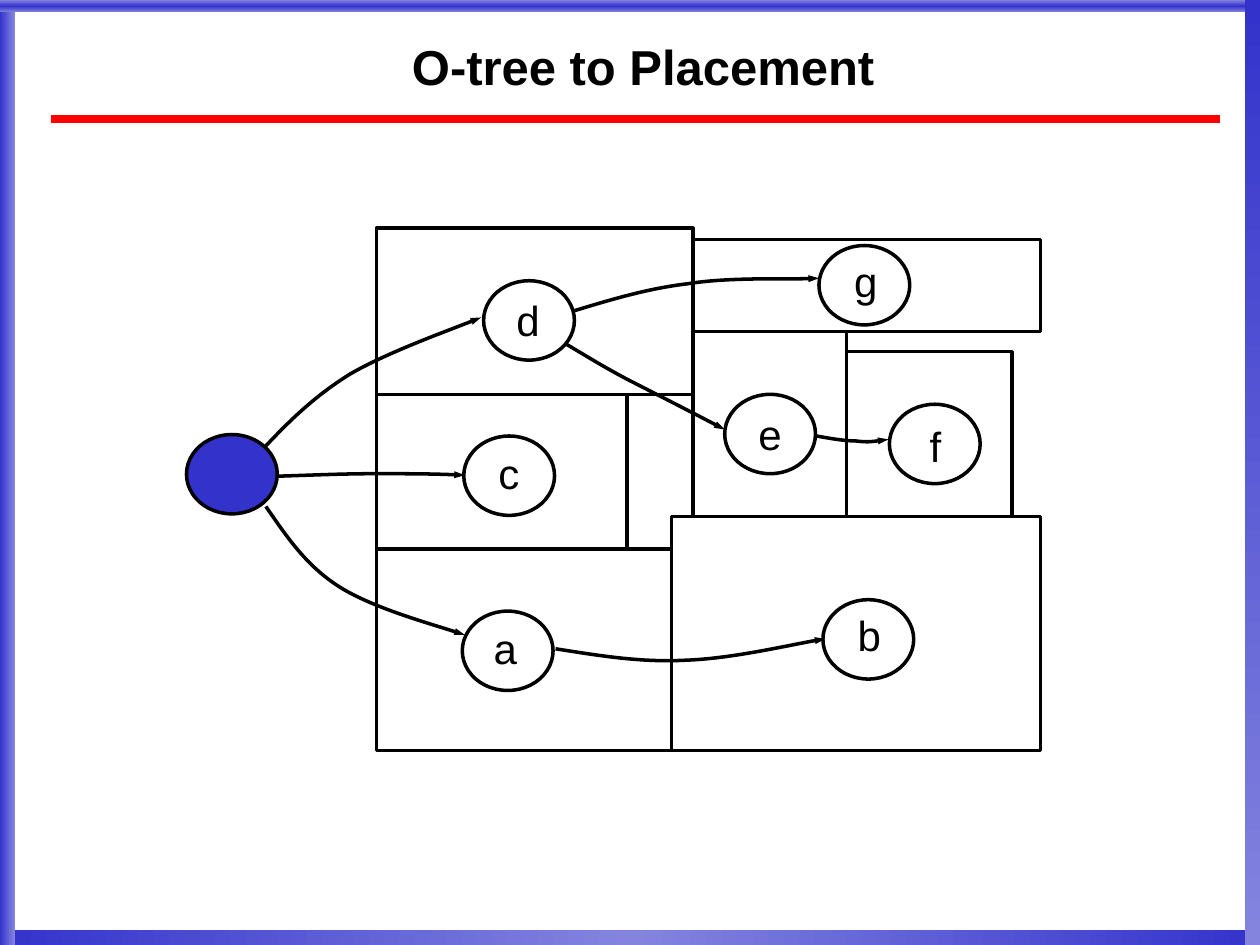
"""Draw the O-tree to placement slide."""
from typing import NamedTuple

from lxml import etree
from pptx import Presentation
from pptx.dml.color import RGBColor
from pptx.enum.shapes import MSO_CONNECTOR, MSO_SHAPE
from pptx.enum.text import MSO_ANCHOR, MSO_AUTO_SIZE, PP_ALIGN
from pptx.oxml.ns import qn
from pptx.util import Cm, Pt

RECT, OVAL = MSO_SHAPE.RECTANGLE, MSO_SHAPE.OVAL
STRAIGHT = MSO_CONNECTOR.STRAIGHT
MIDDLE, CENTER = MSO_ANCHOR.MIDDLE, PP_ALIGN.CENTER
GROW, FIXED = MSO_AUTO_SIZE.SHAPE_TO_FIT_TEXT, MSO_AUTO_SIZE.NONE

HUES = {"blue": "3333CC", "pale": "8484DF", "red": "FF0000",
        "black": "000000", "gray": "C0C0C0"}
WIDE, HIGH = 25.4, 19.05
SIDE, EDGE = 0.3, 0.25
NODE = (1.83, 1.6)
ROOT = (3.76, 8.76)


class Bar(NamedTuple):
    box: tuple
    stops: tuple
    angle: int


class Block(NamedTuple):
    name: str
    box: tuple
    node: tuple
    label: tuple


BARS = [
    Bar((0, HIGH - SIDE, WIDE, SIDE), ("blue", "pale", "blue"), 180),
    Bar((0, 0, SIDE, HIGH), ("pale", "blue"), 180),
    Bar((0, 0, WIDE, EDGE), ("pale", "blue", "pale"), 90),
    Bar((WIDE - SIDE, 0, SIDE, HIGH), ("blue", "pale"), 90),
]
BLOCKS = [
    Block("a", (7.59, 11.07, 5.95, 4.06), (9.32, 12.32), (9.7, 12.42, 0.97)),
    Block("b", (13.54, 10.41, 7.44, 4.72), (16.59, 12.09), (17.04, 12.17, 0.97)),
    Block("c", (7.59, 7.95, 5.05, 3.12), (9.35, 8.79), (9.8, 8.89, 0.91)),
    Block("e", (13.97, 6.68, 3.1, 3.73), (14.61, 7.95), (15.04, 8.1, 0.97)),
    Block("f", (17.07, 7.09, 3.33, 3.32), (17.93, 8.15), (18.49, 8.36, 0.74)),
    Block("d", (7.59, 4.6, 6.38, 3.35), (9.75, 5.66), (10.16, 5.82, 0.97)),
    Block("g", (13.97, 4.83, 7.01, 1.85), (16.51, 4.95), (16.97, 5.03, 0.97)),
]
CURVES = [
    [(5.36, 10.21), (5.77, 10.8), (6.15, 11.38), (6.81, 11.81),
     (7.47, 12.24), (8.94, 12.65), (9.37, 12.8)],
    [(11.2, 13.08), (12.04, 13.21), (12.9, 13.36), (13.82, 13.31),
     (14.73, 13.28), (16.15, 12.95), (16.64, 12.88)],
    [(5.36, 8.99), (5.84, 8.48), (6.35, 7.98), (7.06, 7.54),
     (7.8, 7.11), (9.27, 6.58), (9.7, 6.4)],
    [(11.56, 6.27), (12.29, 6.05), (13.03, 5.82), (13.87, 5.72),
     (14.68, 5.59), (16.05, 5.64), (16.51, 5.61)],
    [(11.4, 6.93), (11.76, 7.14), (12.12, 7.37), (12.65, 7.65),
     (13.18, 7.92), (14.27, 8.48), (14.61, 8.66)],
    [(16.46, 8.79), (16.74, 8.84), (17.02, 8.89), (17.25, 8.89),
     (17.5, 8.92), (17.7, 8.89), (17.91, 8.86)],
    [(5.61, 9.6), (6.27, 9.58), (6.91, 9.55), (7.54, 9.55),
     (8.18, 9.55), (8.76, 9.55), (9.37, 9.58)],
]


def tint(name: str) -> RGBColor:
    """Look up a colour by name."""
    return RGBColor.from_string(HUES[name])


def outline(shape) -> None:
    """Give a shape the common black line."""
    shape.shadow.inherit = False
    shape.line.color.rgb = tint("black")
    shape.line.width = Pt(2)


def add_bar(shapes, bar: Bar) -> None:
    """Draw a frame bar with evenly spaced gradient stops."""
    shape = shapes.add_shape(RECT, *map(Cm, bar.box))
    shape.shadow.inherit = False
    shape.line.fill.background()
    shape.fill.gradient()
    shape.fill.gradient_angle = 360 - bar.angle
    stops = next(shape._element.iter(qn("a:gsLst")))
    for stop in list(stops):
        stops.remove(stop)
    for i, name in enumerate(bar.stops):
        spot = str(100000 * i // (len(bar.stops) - 1))
        stop = etree.SubElement(stops, qn("a:gs"), pos=spot)
        etree.SubElement(stop, qn("a:srgbClr"), val=HUES[name])


def add_form(shapes, kind, box: tuple, fill: str = "") -> None:
    """Draw an outlined box or node."""
    shape = shapes.add_shape(kind, *map(Cm, box))
    outline(shape)
    if fill:
        shape.fill.solid()
        shape.fill.fore_color.rgb = tint(fill)
    else:
        shape.fill.background()


def add_curve(shapes, points: list) -> None:
    """Draw a curved arrow from a start point and Bezier triples."""
    dots = [(Cm(x), Cm(y)) for x, y in points]
    pen = shapes.build_freeform(*dots[0])
    pen.add_line_segments(dots[1:], close=False)
    shape = pen.convert_to_shape()
    outline(shape)
    shape.fill.background()
    trace = next(shape._element.iter(qn("a:path")))
    legs = trace.findall(qn("a:lnTo"))
    for i in range(0, len(legs), 3):
        bend = etree.SubElement(trace, qn("a:cubicBezTo"))
        for leg in legs[i:i + 3]:
            bend.append(leg[0])
            trace.remove(leg)
    etree.SubElement(shape.line._get_or_add_ln(), qn("a:tailEnd"),
                     type="triangle", w="sm", len="med")


def add_text(shapes, text: str, box: tuple, *, size: int, bold: bool = False,
             pad: tuple = (0, 0), wrap: bool = True, fit=FIXED,
             before: int = 0, lead: float = 1.0, shade: bool = False) -> None:
    """Write centred text in a box."""
    frame = shapes.add_textbox(*map(Cm, box)).text_frame
    frame.word_wrap, frame.auto_size = wrap, fit
    frame.vertical_anchor = MIDDLE
    frame.margin_left = frame.margin_right = Cm(pad[0])
    frame.margin_top = frame.margin_bottom = Cm(pad[1])
    para = frame.paragraphs[0]
    para.alignment, para.line_spacing = CENTER, lead
    para.space_before = Pt(before)
    run = para.add_run()
    run.text = text
    font = run.font
    font.name, font.size, font.bold = "Arial", Pt(size), bold
    font.color.rgb = tint("black")
    if shade:
        glow = etree.Element(qn("a:effectLst"))
        cast = etree.SubElement(glow, qn("a:outerShdw"), dist="35921", dir="2700000")
        etree.SubElement(cast, qn("a:srgbClr"), val=HUES["gray"])
        font._element.find(qn("a:solidFill")).addnext(glow)


def add_rule(shapes) -> None:
    """Draw the red rule under the title."""
    rule = shapes.add_connector(STRAIGHT, Cm(1.02), Cm(2.39), Cm(24.59), Cm(2.39))
    rule.line.color.rgb = tint("red")
    rule.line.width = Pt(4.5)
    etree.SubElement(rule._element.spPr, qn("a:effectLst"))


def main() -> None:
    """Build and save the slide."""
    deck = Presentation()
    deck.slide_width, deck.slide_height = Cm(WIDE), Cm(HIGH)
    shapes = deck.slides.add_slide(deck.slide_layouts[6]).shapes
    for bar in BARS:
        add_bar(shapes, bar)
    add_rule(shapes)
    add_text(shapes, "O-tree to Placement", (1.42, 0.69, 23.09, 1.47),
             size=28, bold=True, lead=0.87, shade=True)
    for block in BLOCKS:
        add_form(shapes, RECT, block.box)
    add_form(shapes, OVAL, ROOT + NODE, "blue")
    for block in BLOCKS:
        add_form(shapes, OVAL, block.node + NODE)
    for curve in CURVES:
        add_curve(shapes, curve)
    for block in BLOCKS:
        add_text(shapes, block.name, (*block.label, 1.27), size=24,
                 pad=(0.25, 0.13), wrap=False, fit=GROW, before=15)
    deck.save("out.pptx")


if __name__ == "__main__":
    main()
